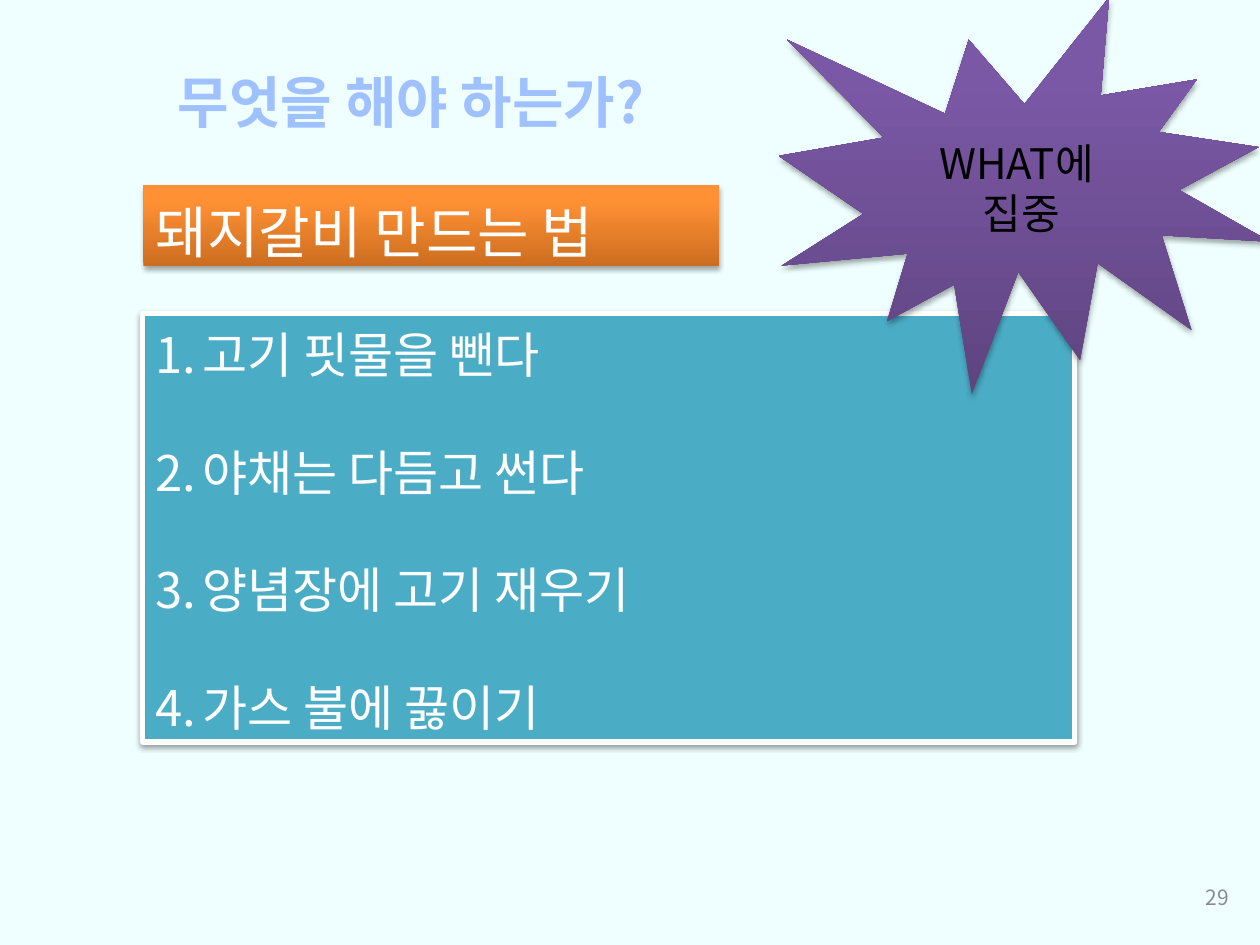
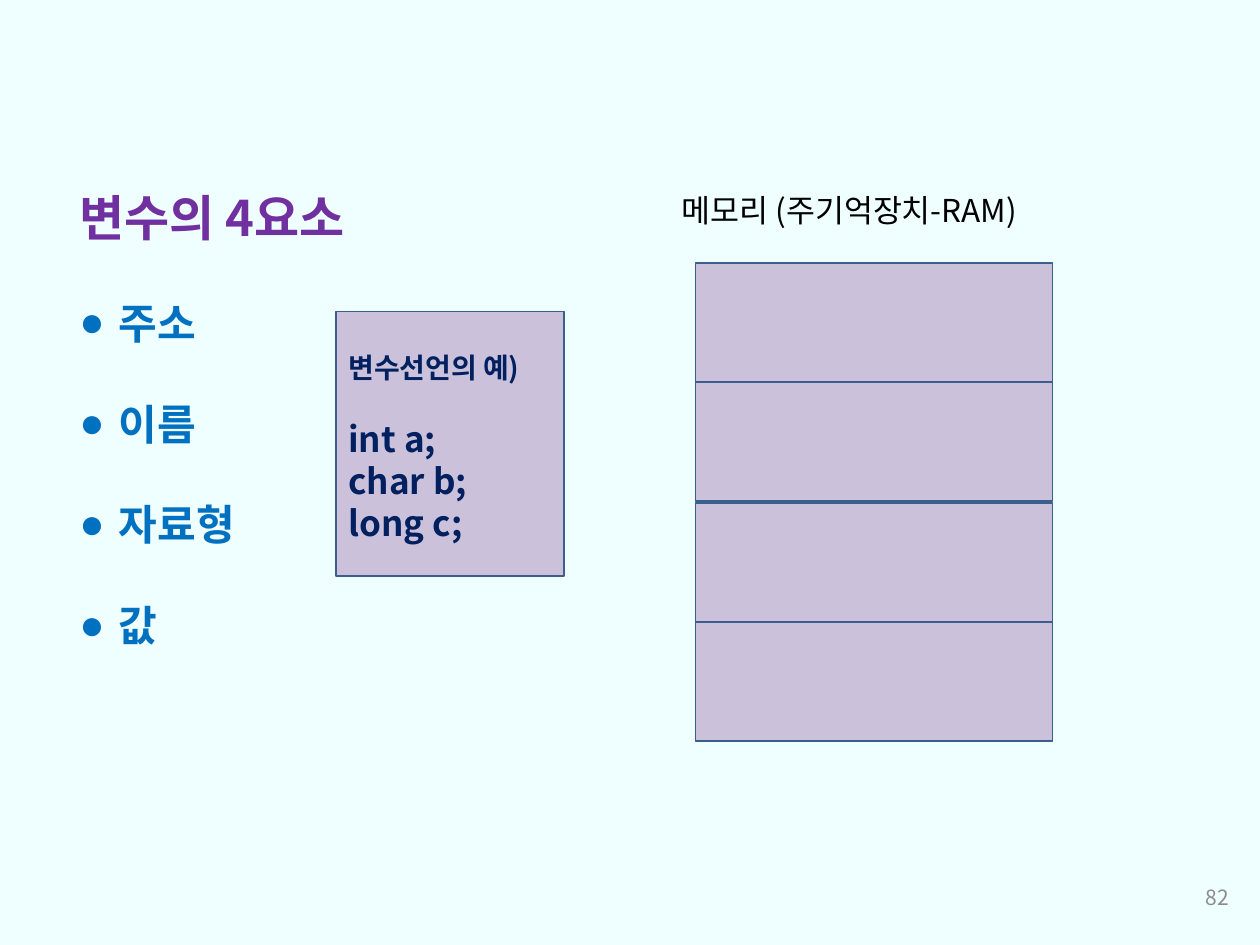
from lxml.etree import SubElement
from pptx import Presentation
from pptx.dml.color import RGBColor
from pptx.enum.shapes import MSO_SHAPE as Preset
from pptx.enum.text import MSO_ANCHOR as Anchor, MSO_AUTO_SIZE as AutoSize, PP_ALIGN as Align
from pptx.oxml.ns import qn
from pptx.util import Pt

FONT = "Noto Sans CJK KR"
LINE_HEIGHT = 1.2
COLORS = {
    "background": "EFFEFE", "white": "FFFFFF", "black": "000000",
    "question": "A0C1FF", "steps": "4BACC6", "page": "8C8C8C",
    "orange_dark": "CC6E20", "orange": "FF9034",
    "purple_dark": "5F4480", "purple": "7B58A6",
    "heading": "7030A0", "element": "0070C0", "code": "002060",
    "cell": "CCC1DA", "cell_line": "3A5F8C",
}


def rgb(name):
    return RGBColor.from_string(COLORS[name])


class Deck:
    def __init__(self):
        self.prs = Presentation()
        self.prs.slide_width, self.prs.slide_height = Pt(720), Pt(540)
        backdrop = self.prs.slide_master.background.fill
        backdrop.solid()
        backdrop.fore_color.rgb = rgb("background")
        self.slide = None

    def new_slide(self, page):
        self.slide = self.prs.slides.add_slide(self.prs.slide_layouts[1])
        self.label((541.5, 497, 168, 28.8), [page], 12, "page",
                   align=Align.RIGHT, anchor=Anchor.MIDDLE)

    def set_text(self, shape, lines, size, color, bold=False, align=Align.LEFT,
                 anchor=Anchor.TOP, spacing=1, after=0, wrap=True):
        frame = shape.text_frame
        frame.text = "\n".join(lines)
        frame.word_wrap = wrap
        frame.auto_size = AutoSize.NONE
        frame.vertical_anchor = anchor
        frame.margin_left = frame.margin_right = Pt(7.2)
        frame.margin_top = Pt(3.6 + size * 0.1)
        frame.margin_bottom = Pt(3.6 - size * 0.1)
        for paragraph in frame.paragraphs:
            paragraph.alignment = align
            paragraph.space_before = Pt(0)
            paragraph.space_after = Pt(after)
            self.style(paragraph, size, color, bold, spacing)
        return shape

    def style(self, paragraph, size, color, bold, spacing=1):
        paragraph.line_spacing = Pt(size * LINE_HEIGHT * spacing)
        font = paragraph.font
        font.size, font.bold, font.name = Pt(size), bold, FONT
        font.color.rgb = rgb(color)
        defaults = paragraph._p.pPr.find(qn("a:defRPr"))
        if defaults.find(qn("a:ea")) is None:
            SubElement(defaults, qn("a:ea"), typeface=FONT)

    def place(self, shape, box):
        shape.left, shape.top, shape.width, shape.height = map(Pt, box)
        return shape

    def title(self, box, text, size, color, **options):
        heading = self.place(self.slide.shapes.title, box)
        return self.set_text(heading, [text], size, color, bold=True, **options)

    def bullets(self, box, items, size, color, indent, marker, **options):
        body = self.place(self.slide.placeholders[1], box)
        self.set_text(body, items, size, color, **options)
        tag, attributes = marker
        for paragraph in body.text_frame.paragraphs:
            properties = paragraph._p.pPr
            properties.set("marL", str(Pt(indent)))
            properties.set("indent", str(-Pt(indent)))
            bullet = SubElement(properties, qn(tag), **attributes)
            properties.find(qn("a:defRPr")).addprevious(bullet)
        return body

    def label(self, box, lines, size, color, **options):
        text_box = self.slide.shapes.add_textbox(*map(Pt, box))
        return self.set_text(text_box, lines, size, color, **options)

    def paint(self, shape, fill, line, width=1):
        shape.fill.solid()
        shape.fill.fore_color.rgb = rgb(fill)
        shape.shadow.inherit = False
        shape.line.color.rgb = rgb(line)
        shape.line.width = Pt(width)
        return shape

    def shadow(self, shape, opacity, distance):
        shape.shadow.inherit = False
        effects = shape._element.spPr.find(qn("a:effectLst"))
        outer = SubElement(effects, qn("a:outerShdw"), blurRad=str(Pt(3.1)),
                           dist=str(Pt(distance)), dir="5400000", rotWithShape="0")
        tint = SubElement(outer, qn("a:srgbClr"), val=COLORS["black"])
        SubElement(tint, qn("a:alpha"), val=str(opacity * 1000))

    def glossy(self, preset, box, dark, light):
        shape = self.slide.shapes.add_shape(preset, *map(Pt, box))
        shape.fill.gradient()
        shape.fill.gradient_angle = 90
        bottom, top = shape.fill.gradient_stops
        bottom.color.rgb, bottom.position = rgb(dark), 0
        top.color.rgb, top.position = rgb(light), 0.8
        shape.line.fill.background()
        self.shadow(shape, 35, 1.8)
        return shape

    def cell(self, box):
        shape = self.slide.shapes.add_shape(Preset.RECTANGLE, *map(Pt, box))
        return self.paint(shape, "cell", "cell_line")


def recipe_slide(deck):
    deck.new_slide("29")
    deck.title((80, 31.7, 310, 46), "무엇을 해야 하는가?", 32, "question",
               align=Align.CENTER, wrap=False)
    steps = deck.bullets(
        (81.4, 179.3, 532.8, 244.8),
        ["고기 핏물을 뺀다", "야채는 다듬고 썬다", "양념장에 고기 재우기", "가스 불에 끓이기"],
        28, "white", 27, ("a:buAutoNum", {"type": "arabicPeriod"}), after=33.5)
    deck.paint(steps, "steps", "white", 3)
    deck.shadow(steps, 38, 1.6)
    recipe = deck.glossy(Preset.RECTANGLE, (82, 105.8, 329, 46), "orange_dark", "orange")
    deck.set_text(recipe, ["돼지갈비 만드는 법"], 32, "white")
    focus = deck.glossy(Preset.EXPLOSION1, (445, -1.4, 280.8, 226.8), "purple_dark", "purple")
    deck.set_text(focus, ["WHAT에 ", "집중"], 24, "black",
                  align=Align.CENTER, anchor=Anchor.MIDDLE)


def variable_slide(deck):
    deck.new_slide("82")
    deck.title((38.2, 101, 320, 41), "변수의 4요소", 28, "heading")
    deck.bullets((38.2, 135, 150, 284), ["주소", "이름", "자료형", "값"], 24, "element",
                 22.5, ("a:buChar", {"char": "●"}), bold=True, spacing=2)
    for row in range(4):
        deck.cell((397.4, 150.5 + 68 * row + row // 2, 204, 68))
    deck.label((382.3, 103.7, 321, 29), ["메모리 (주기억장치-RAM)"], 18, "black")
    example = deck.cell((192, 178, 130.3, 151.2))
    deck.set_text(example, ["변수선언의 예)", "int a;", "char b;", "long c;"], 20, "code",
                  bold=True, anchor=Anchor.MIDDLE)
    caption = example.text_frame.paragraphs[0]
    deck.style(caption, 16, "code", True)
    caption.space_after = Pt(19.2)


def main():
    deck = Deck()
    recipe_slide(deck)
    variable_slide(deck)
    deck.prs.save("out.pptx")


if __name__ == "__main__":
    main()
